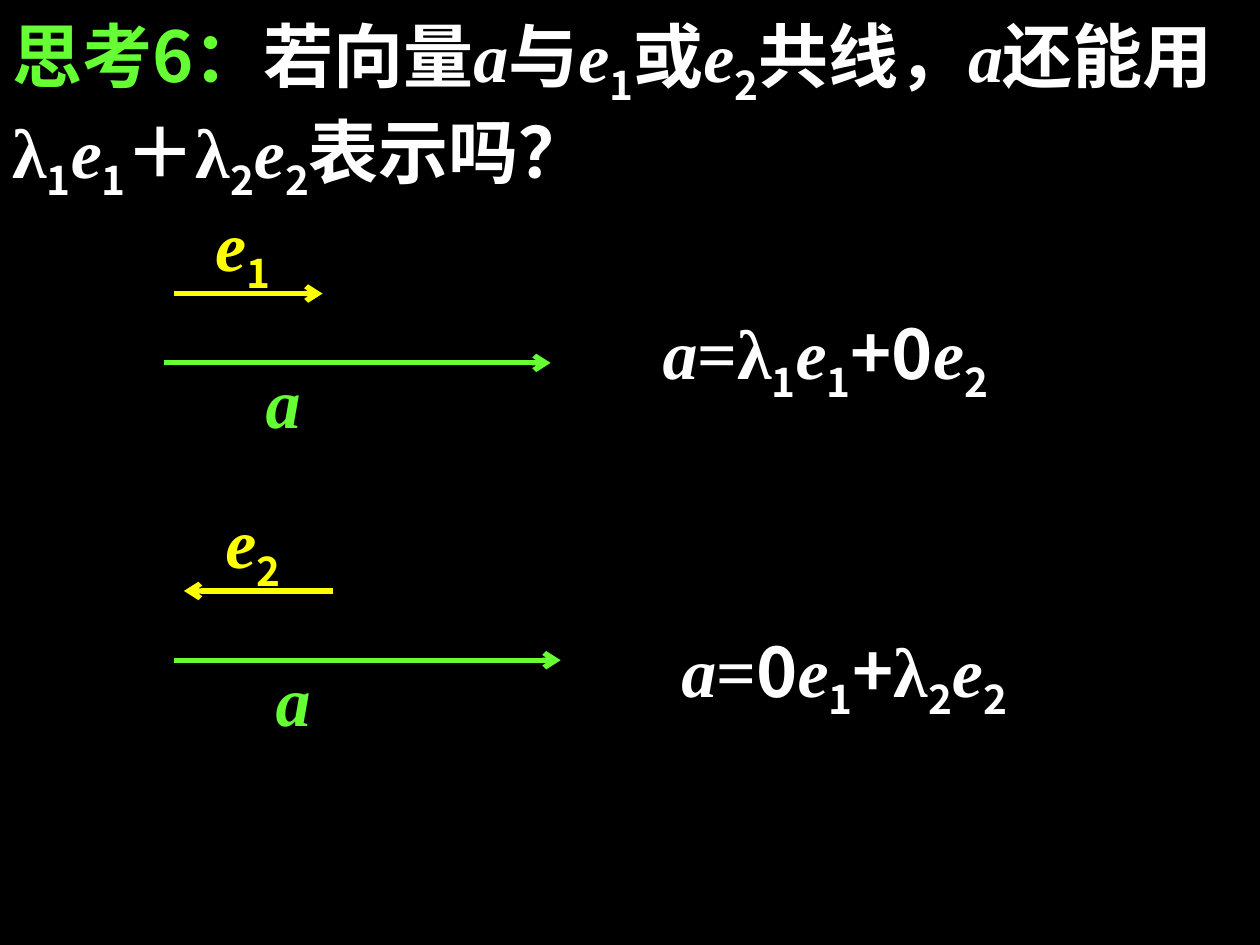
from dataclasses import dataclass

from lxml import etree
from pptx import Presentation
from pptx.dml.color import RGBColor
from pptx.enum.shapes import MSO_CONNECTOR
from pptx.enum.text import MSO_ANCHOR, MSO_AUTO_SIZE, PP_ALIGN
from pptx.oxml.ns import qn
from pptx.util import Inches, Pt

STRAIGHT = MSO_CONNECTOR.STRAIGHT
TOP = MSO_ANCHOR.TOP
GROW = MSO_AUTO_SIZE.SHAPE_TO_FIT_TEXT
LEFT = PP_ALIGN.LEFT


@dataclass(frozen=True)
class Theme:
    """Colours, fonts and sizes of the slide."""
    black: RGBColor = RGBColor(0, 0, 0)
    white: RGBColor = RGBColor(255, 255, 255)
    green: RGBColor = RGBColor(0x66, 0xFF, 0x33)
    yellow: RGBColor = RGBColor(255, 255, 0)
    cjk: str = "Noto Sans CJK SC"
    serif: str = "Times New Roman"
    size: Pt = Pt(40)
    line: Pt = Pt(3)


T = Theme()
STYLES = {
    "text": {"name": T.cjk, "italic": False},
    "sub": {"name": T.cjk, "italic": False},
    "symbol": {"name": T.serif, "italic": False},
    "vector": {"name": T.serif, "italic": True},
}
A = [("a", "vector")]
E1 = [("e", "vector"), ("1", "sub")]
E2 = [("e", "vector"), ("2", "sub")]
LAMBDA1 = [("λ", "symbol"), ("1", "sub")]
LAMBDA2 = [("λ", "symbol"), ("2", "sub")]
QUESTION = [
    ("若向量", "text"), *A, ("与", "text"), *E1, ("或", "text"), *E2,
    ("共线，", "text"), *A, ("还能用", "text"), *LAMBDA1, *E1,
    ("＋", "text"), *LAMBDA2, *E2, ("表示吗？", "text"),
]
CASE1 = [*A, ("=", "symbol"), *LAMBDA1, *E1, ("+0", "text"), *E2]
CASE2 = [*A, ("=", "symbol"), ("0", "text"), *E1, ("+", "text"), *LAMBDA2, *E2]


def add_runs(p, parts, color):
    """Append styled runs to a paragraph."""
    for text, style in parts:
        r = p.add_run()
        r.text = text
        for key, value in {"size": T.size, "bold": True, **STYLES[style]}.items():
            setattr(r.font, key, value)
        r.font.color.rgb = color
        rPr = r.font._element
        etree.SubElement(rPr, qn("a:ea"), typeface=T.cjk)
        if style == "sub":
            rPr.set("baseline", "-25000")


def format_frame(tf):
    """Make a frame wrap, grow and start at the top left; return its paragraph."""
    for key, value in {"word_wrap": True, "auto_size": GROW,
                       "vertical_anchor": TOP}.items():
        setattr(tf, key, value)
    p = tf.paragraphs[0]
    p.alignment = LEFT
    return p


def add_title(s):
    """Fill the title placeholder with the question."""
    title = s.shapes.title
    for key, value in {"left": 0, "top": 0.05, "width": 10, "height": 1.62}.items():
        setattr(title, key, Inches(value))
    p = format_frame(title.text_frame)
    add_runs(p, [("思考6：", "text")], T.green)
    add_runs(p, QUESTION, T.white)


def add_label(shapes, x, y, w, h, parts, color):
    """Add a text box holding a vector expression."""
    box = shapes.add_textbox(Inches(x), Inches(y), Inches(w), Inches(h))
    add_runs(format_frame(box.text_frame), parts, color)


def add_arrow(shapes, x, y, length, color, end="tailEnd"):
    """Add a horizontal vector arrow with its tip at the given end."""
    line = shapes.add_connector(STRAIGHT, Inches(x), Inches(y),
                                Inches(x + length), Inches(y))
    line.line.color.rgb = color
    line.line.width = T.line
    etree.SubElement(line.line._get_or_add_ln(), qn(f"a:{end}"), type="arrow")
    etree.SubElement(line._element.spPr, qn("a:effectLst"))


def add_vector_pair(s, x, y, unit, unit_end):
    """Add a grouped base vector above its collinear vector a."""
    shapes = s.shapes.add_group_shape().shapes
    add_label(shapes, x + 0.31, y, 0.94, 0.86, unit, T.yellow)
    add_arrow(shapes, x + 0.08, y + 0.78, 1.18, T.yellow, unit_end)
    add_arrow(shapes, x, y + 1.33, 3.07, T.green)
    add_label(shapes, x + 0.71, y + 1.25, 0.94, 0.77, A, T.green)


def main():
    """Build and save the slide."""
    prs = Presentation()
    prs.slide_width, prs.slide_height = Inches(10), Inches(7.5)
    s = prs.slides.add_slide(prs.slide_layouts[5])
    s.background.fill.solid()
    s.background.fill.fore_color.rgb = T.black
    add_title(s)
    add_vector_pair(s, 1.3, 1.55, E1, "tailEnd")
    add_label(s.shapes, 5.16, 2.41, 3.78, 0.86, CASE1, T.white)
    add_vector_pair(s, 1.38, 3.91, E2, "headEnd")
    add_label(s.shapes, 5.31, 4.93, 3.78, 0.86, CASE2, T.white)
    prs.save("out.pptx")


if __name__ == "__main__":
    main()
